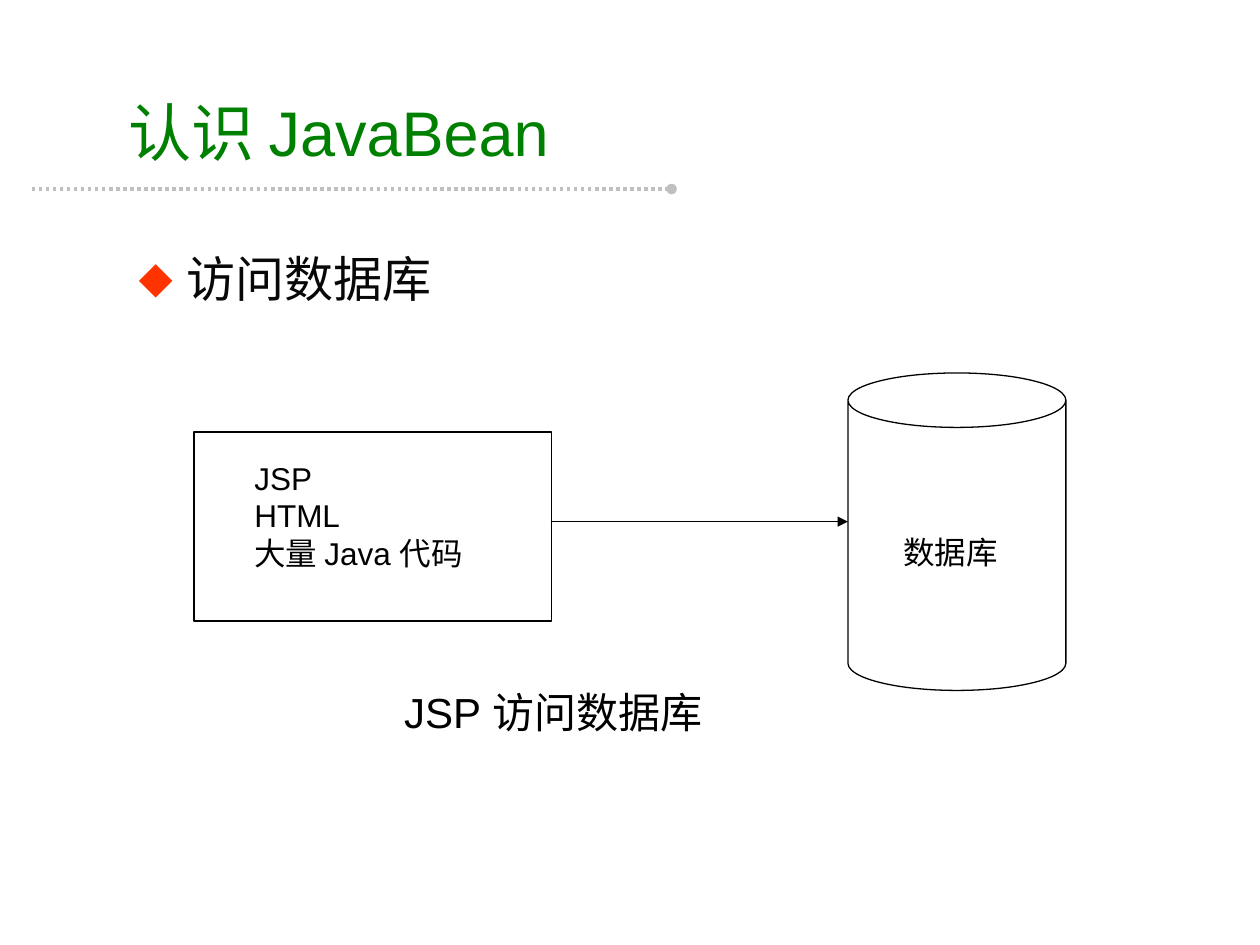
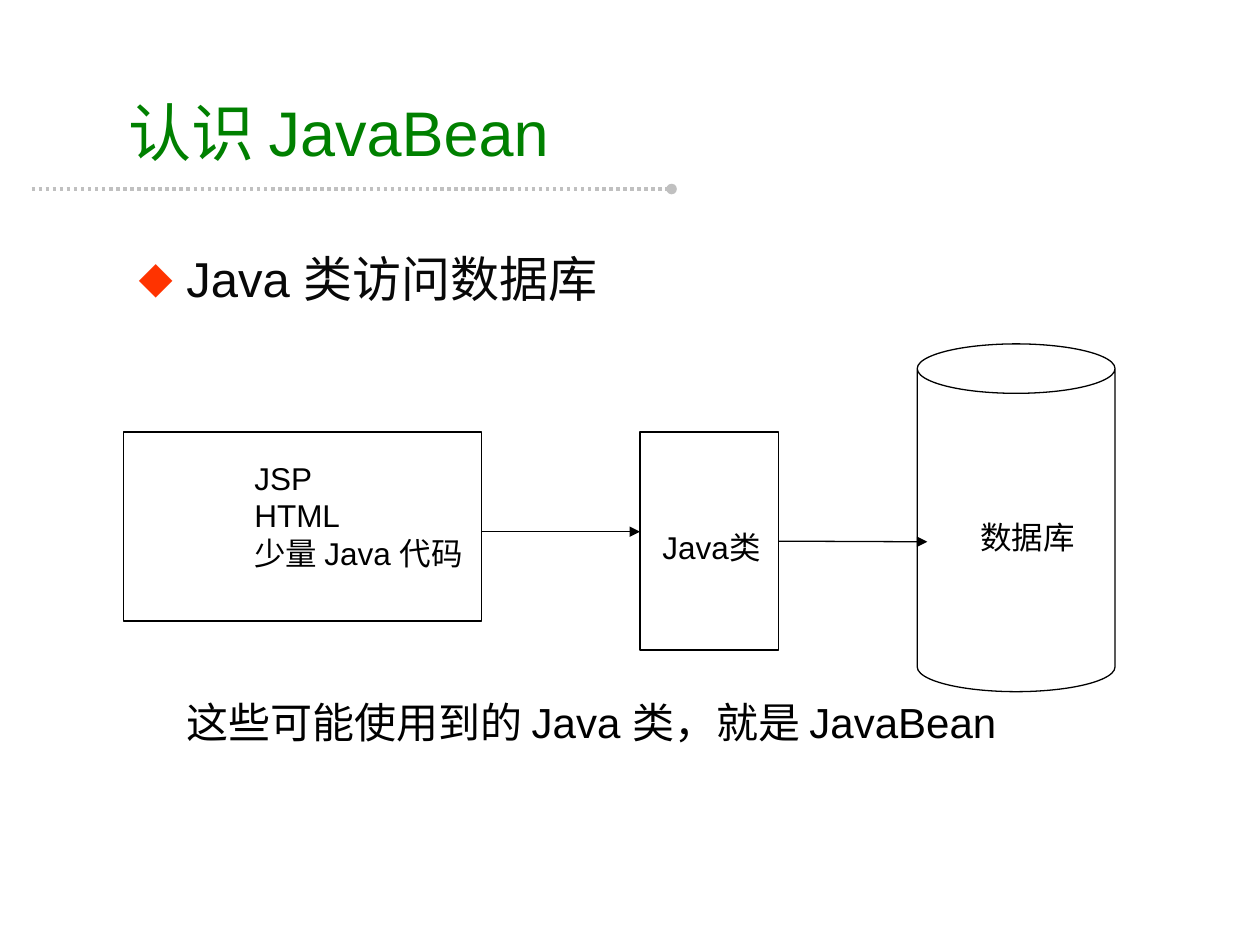
from dataclasses import dataclass

import pptx
import pptx.dml.color
import pptx.enum.dml
import pptx.enum.lang
import pptx.enum.shapes
import pptx.enum.text
import pptx.oxml
import pptx.oxml.ns
import pptx.util
from pptx.util import Inches

RGB = pptx.dml.color.RGBColor.from_string
SHAPE = pptx.enum.shapes.MSO_SHAPE
ANCHOR = pptx.enum.text.MSO_ANCHOR
NS = pptx.oxml.ns.nsdecls("a")


@dataclass(frozen=True)
class Theme:
    font: str = "Arial"
    title: str = "008000"
    body: str = "080808"
    ink: str = "000000"
    bullet: str = "FF3300"
    rule: str = "C0C0C0"
    title_size: float = 36
    body_size: float = 28
    caption_size: float = 24
    label_size: float = 18
    rule_width: float = 2
    line_width: float = 0.75


THEME = Theme()


@dataclass(frozen=True)
class Box:
    left: float
    top: float
    width: float
    height: float

    def lengths(self) -> tuple:
        return tuple(Inches(v) for v in (self.left, self.top, self.width, self.height))


@dataclass(frozen=True)
class Node:
    kind: SHAPE
    box: Box


@dataclass(frozen=True)
class Label:
    lines: tuple[str, ...]
    box: Box
    size: float = THEME.label_size


@dataclass(frozen=True)
class Arrow:
    """A horizontal arrow; source is the index of the node it is joined to."""
    x1: float
    x2: float
    y: float
    source: int | None = None


@dataclass(frozen=True)
class Diagram:
    heading: str
    nodes: tuple[Node, ...]
    labels: tuple[Label, ...]
    arrows: tuple[Arrow, ...]


TITLE = "认识 JavaBean"
TITLE_BOX = Box(0.92, 0.67, 5, 0.75)
BODY_BOX = Box(1, 1.83, 8.35, 5.2)
PAGE_LABEL_BOX = Box(1.92, 3.59, 2.21, 1)

DIAGRAMS = (
    Diagram(
        "访问数据库",
        (Node(SHAPE.RECTANGLE, Box(1.54, 3.43, 2.84, 1.5)),
         Node(SHAPE.CAN, Box(6.73, 2.96, 1.73, 2.52))),
        (Label(("JSP", "HTML", "大量 Java 代码"), PAGE_LABEL_BOX),
         Label(("数据库",), Box(7.07, 4.18, 1, 0.4)),
         Label(("JSP 访问数据库",), Box(3.11, 5.4, 3.97, 0.5), THEME.caption_size)),
        (Arrow(4.37, 6.73, 4.14),),
    ),
    Diagram(
        "Java 类访问数据库",
        (Node(SHAPE.RECTANGLE, Box(0.98, 3.43, 2.84, 1.5)),
         Node(SHAPE.CAN, Box(7.28, 2.73, 1.57, 2.76)),
         Node(SHAPE.RECTANGLE, Box(5.08, 3.43, 1.1, 1.73))),
        (Label(("JSP", "HTML", "少量 Java 代码"), PAGE_LABEL_BOX),
         Label(("数据库",), Box(7.68, 4.06, 1, 0.4)),
         Label(("Java类",), Box(5.16, 4.14, 1.13, 0.4)),
         Label(("这些可能使用到的 Java 类，就是 JavaBean",),
               Box(1.38, 5.48, 7.18, 0.5), THEME.caption_size)),
        (Arrow(3.82, 5.08, 4.22), Arrow(6.18, 7.36, 4.3, source=2)),
    ),
)


def apply(target, formats: dict) -> None:
    for name, value in formats.items():
        setattr(target, name, value)


def write(tf, lines: tuple[str, ...], size: float, color: str, anchor) -> None:
    apply(tf, {"word_wrap": True, "vertical_anchor": anchor,
               "auto_size": pptx.enum.text.MSO_AUTO_SIZE.NONE})
    for i, line in enumerate(lines):
        p = tf.add_paragraph() if i else tf.paragraphs[0]
        apply(p, {"alignment": pptx.enum.text.PP_ALIGN.LEFT,
                  "space_before": pptx.util.Pt(0)})
        r = p.add_run()
        r.text = line
        apply(r.font, {"name": THEME.font, "size": pptx.util.Pt(size),
                       "language_id": pptx.enum.lang.MSO_LANGUAGE_ID.SIMPLIFIED_CHINESE})
        r.font.color.rgb = RGB(color)


def place(sp, box: Box) -> None:
    apply(sp, dict(zip(("left", "top", "width", "height"), box.lengths())))


def add_bullet(p) -> None:
    """Give the paragraph a hanging diamond bullet."""
    p_pr = p._p.get_or_add_pPr()
    p_pr.set("marL", str(Inches(0.38)))
    p_pr.set("indent", str(-Inches(0.38)))
    for xml in (f'<a:buClr {NS}><a:srgbClr val="{THEME.bullet}"/></a:buClr>',
                f'<a:buChar {NS} char="⬥"/>'):
        p_pr.append(pptx.oxml.parse_xml(xml))
    p.line_spacing = 1.2


def add_line(slide, x1: float, x2: float, y: float, color: str, width: float, tail: str):
    line = slide.shapes.add_connector(
        pptx.enum.shapes.MSO_CONNECTOR.STRAIGHT,
        Inches(x1), Inches(y), Inches(x2), Inches(y))
    line.line.color.rgb = RGB(color)
    line.line.width = pptx.util.Pt(width)
    if tail == "oval":
        line.line.dash_style = pptx.enum.dml.MSO_LINE.ROUND_DOT
    line.line._get_or_add_ln().append(
        pptx.oxml.parse_xml(f'<a:tailEnd {NS} type="{tail}"/>'))
    line.element.spPr.append(pptx.oxml.parse_xml(f"<a:effectLst {NS}/>"))
    return line


def add_node(slide, node: Node):
    sp = slide.shapes.add_shape(node.kind, *node.box.lengths())
    sp.shadow.inherit = False
    sp.fill.background()
    sp.line.color.rgb = RGB(THEME.ink)
    sp.line.width = pptx.util.Pt(THEME.line_width)
    return sp


def add_label(slide, label: Label) -> None:
    sp = slide.shapes.add_textbox(*label.box.lengths())
    write(sp.text_frame, label.lines, label.size, THEME.ink, ANCHOR.MIDDLE)


def build_slide(prs, layout, diagram: Diagram):
    slide = prs.slides.add_slide(layout)
    title, body = slide.placeholders
    place(title, TITLE_BOX)
    write(title.text_frame, (TITLE,), THEME.title_size, THEME.title, ANCHOR.MIDDLE)
    place(body, BODY_BOX)
    add_bullet(body.text_frame.paragraphs[0])
    write(body.text_frame, (diagram.heading,), THEME.body_size, THEME.body, ANCHOR.TOP)

    nodes = [add_node(slide, node) for node in diagram.nodes]
    for arrow in diagram.arrows:
        line = add_line(slide, arrow.x1, arrow.x2, arrow.y,
                        THEME.ink, THEME.line_width, "triangle")
        if arrow.source is not None:
            line.begin_connect(nodes[arrow.source], 3)
    for label in diagram.labels:
        add_label(slide, label)
    return slide


def main() -> None:
    prs = pptx.Presentation()
    prs.slide_width, prs.slide_height = Inches(10), Inches(7.5)
    layout = prs.slide_layouts[1]
    slides = [build_slide(prs, layout, diagram) for diagram in DIAGRAMS]
    # The title rule is moved to the layout, so that every slide shows it.
    rule = add_line(slides[0], 0.25, 5.33, 1.5, THEME.rule, THEME.rule_width, "oval")
    layout.shapes.element.append(rule.element)
    prs.save("out.pptx")


if __name__ == "__main__":
    main()
